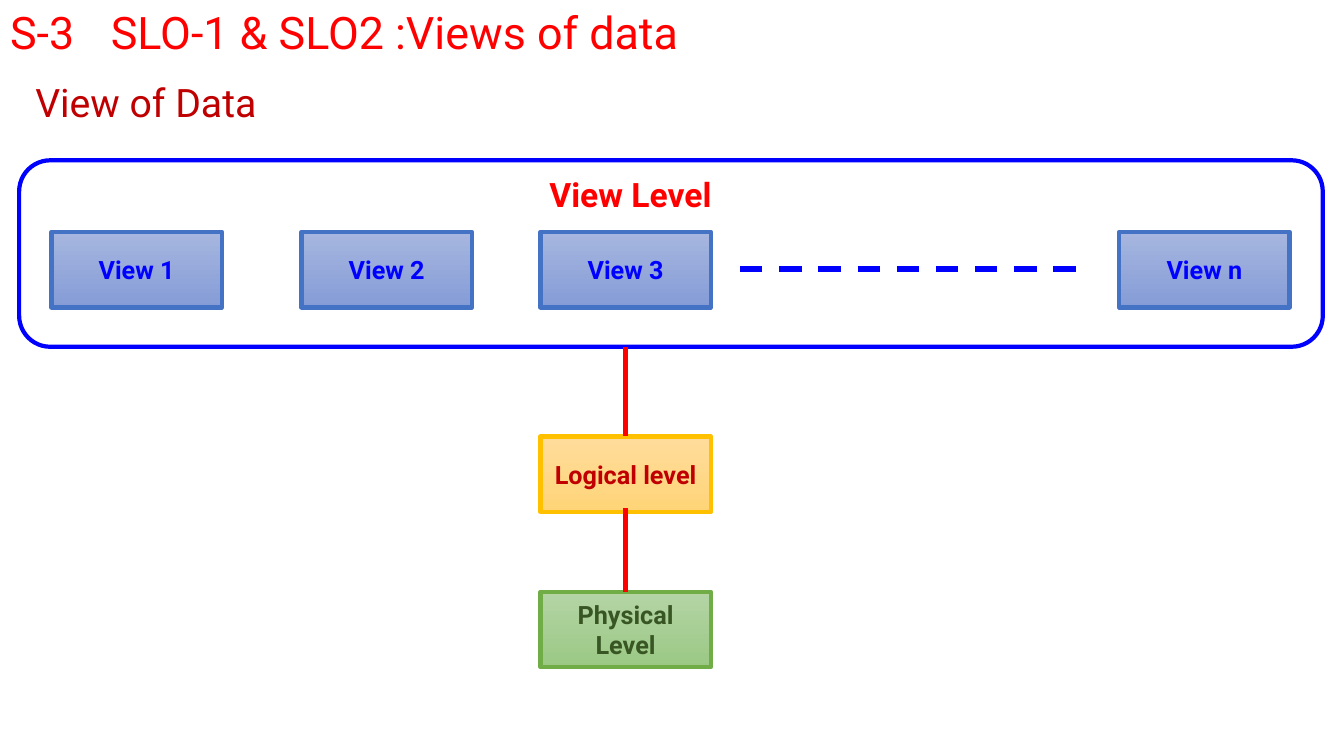
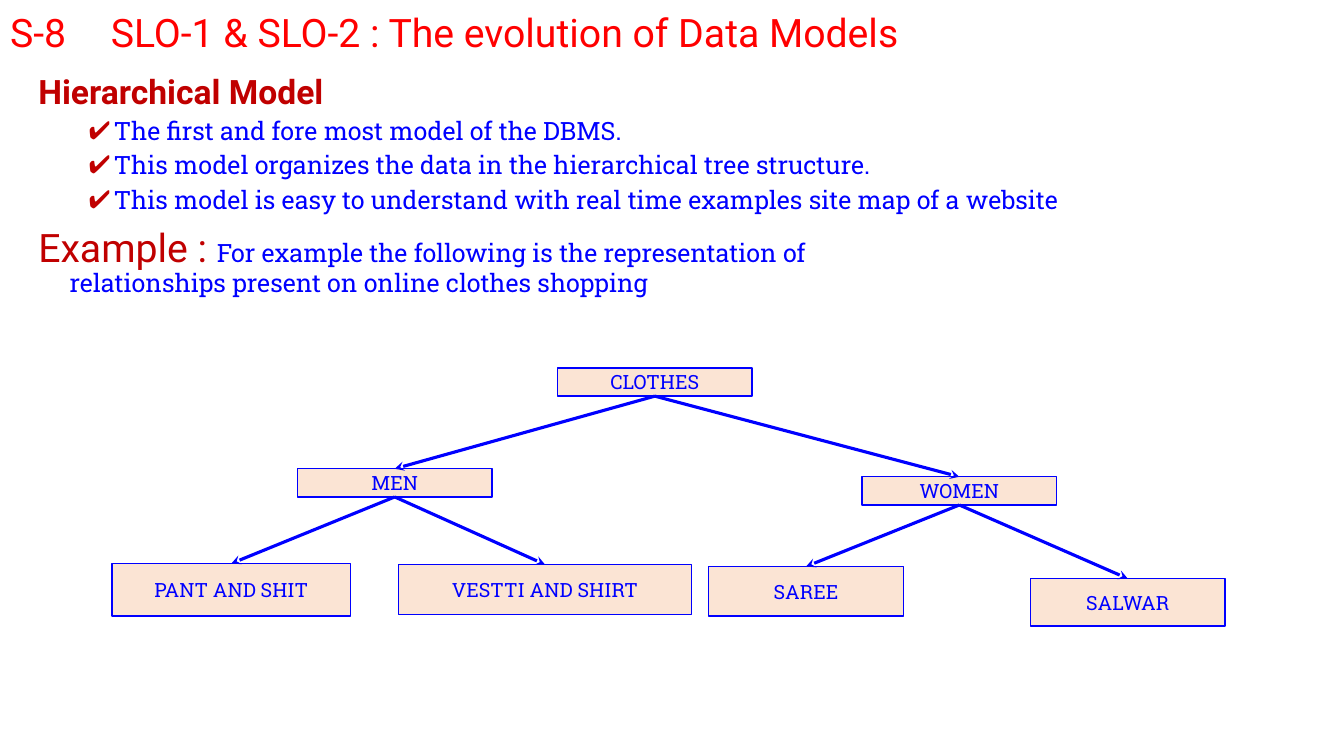
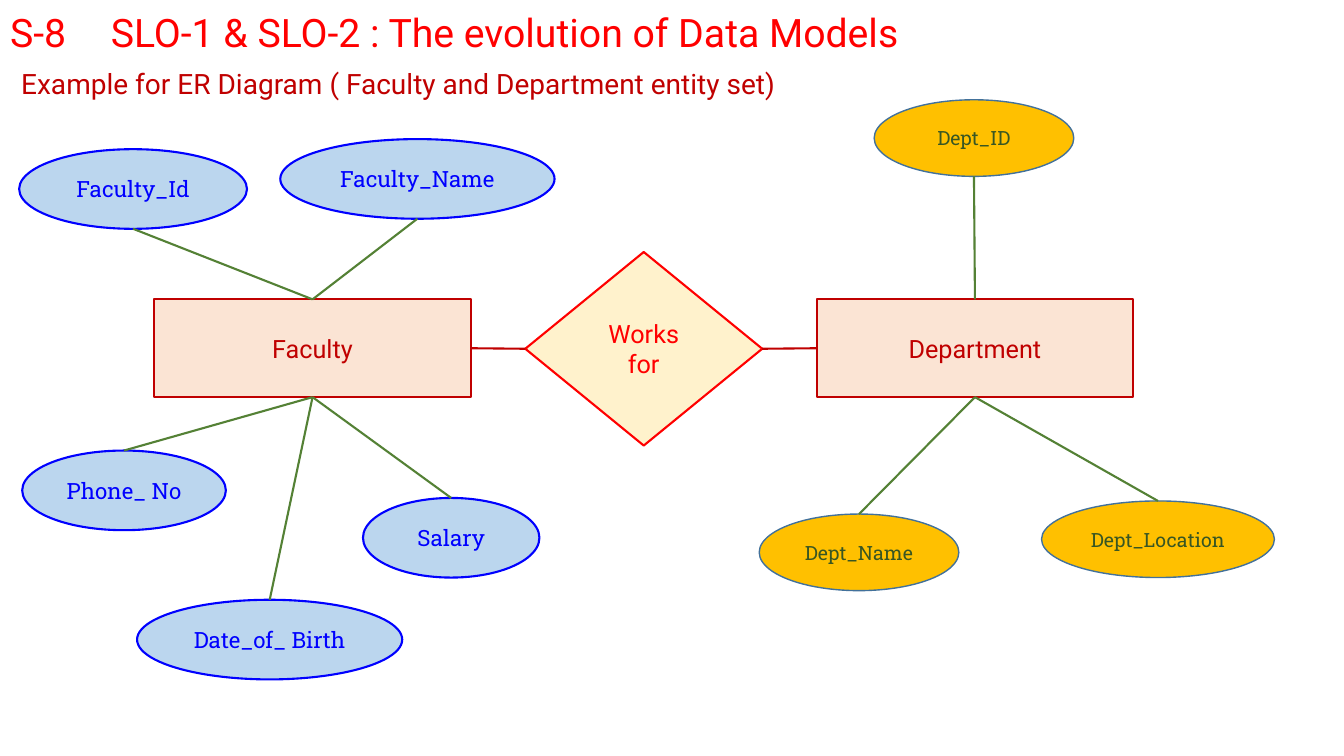
"""Build three slides on views of data and data models."""
from lxml import etree
from pptx import Presentation
from pptx.dml.color import RGBColor
from pptx.enum.dml import MSO_LINE
from pptx.enum.shapes import MSO_CONNECTOR, MSO_SHAPE
from pptx.enum.text import MSO_ANCHOR, MSO_AUTO_SIZE, PP_ALIGN
from pptx.oxml.ns import qn
from pptx.util import Inches, Pt

RECT = MSO_SHAPE.RECTANGLE
ROUND = MSO_SHAPE.ROUNDED_RECTANGLE
OVAL = MSO_SHAPE.OVAL
DIAMOND = MSO_SHAPE.DIAMOND
STRAIGHT = MSO_CONNECTOR.STRAIGHT
DASH = MSO_LINE.DASH
TOP, MIDDLE = MSO_ANCHOR.TOP, MSO_ANCHOR.MIDDLE
LEFT, CENTER = PP_ALIGN.LEFT, PP_ALIGN.CENTER
FIXED = MSO_AUTO_SIZE.NONE

SANS, SLAB = "Roboto", "Roboto Slab"
HEX = {
    "red": "FF0000", "wine": "C00000", "blue": "0000FF", "steel": "4472C4",
    "gold": "FFC000", "leaf": "70AD47", "pine": "385623", "moss": "548135",
    "peach": "FBE4D4", "cream": "FFF2CC", "sky": "BBD6EE", "navy": "42719B",
    "haze": "A6B6DE", "iris": "859CD7", "sand": "FFDC9B", "honey": "FFD478",
    "mint": "B4D4A5", "sage": "9BC985",
}
NORTH, SOUTH, WEST, EAST = (0.5, 0), (0.5, 1), (0, 0.5), (1, 0.5)


def rgb(name):
    return RGBColor.from_string(HEX[name])


def spot(shape, side):
    """Return the point at a relative place on a shape."""
    return (int(shape.left + shape.width * side[0]),
            int(shape.top + shape.height * side[1]))


def write(frame, text, size=18, color="blue", font=SANS, bold=False,
          align=LEFT, lead=1.0, before=0, level=0, left=0, hang=0,
          mark=None, join=False):
    """Add a paragraph, or join a run to the last one."""
    para = frame.paragraphs[-1]
    if not join:
        if para.runs:
            para = frame.add_paragraph()
        props = para._p.get_or_add_pPr()
        props.set("marL", str(Inches(left)))
        props.set("indent", str(Inches(-hang)))
        if mark:
            tint = etree.SubElement(props, qn("a:buClr"))
            etree.SubElement(tint, qn("a:srgbClr"), val=HEX["wine"])
            etree.SubElement(props, qn("a:buChar"), char=mark)
        else:
            etree.SubElement(props, qn("a:buNone"))
        para.level, para.alignment = level, align
        para.line_spacing, para.space_before = lead, Pt(before)
    for count, line in enumerate(text.split("\n")):
        if count:
            para.add_line_break()
        run = para.add_run()
        run.text = line
        run.font.name, run.font.size, run.font.bold = font, Pt(size), bold
        run.font.color.rgb = rgb(color)


class Deck:
    """Hold the style and the current slide."""

    def __init__(self):
        self.show = Presentation()
        self.show.slide_width = Inches(13.33)
        self.show.slide_height = Inches(7.5)
        self.slide = None

    def page(self, title, area, size=28, top=0.03):
        """Start a slide and return its body text frame."""
        self.slide = self.show.slides.add_slide(self.show.slide_layouts[1])
        head, body = self.slide.placeholders
        write(self.place(head, (0, top, 12, 0.6)), title, size, "red")
        return self.place(body, area)

    def place(self, holder, area):
        holder.left, holder.top, holder.width, holder.height = map(Inches, area)
        frame = holder.text_frame
        frame.word_wrap, frame.auto_size = True, FIXED
        frame.vertical_anchor = TOP
        return frame

    def box(self, area, text, kind=RECT, fill=None, edge="blue", width=1.0,
            anchor=MIDDLE, align=CENTER, **style):
        shape = self.slide.shapes.add_shape(kind, *map(Inches, area))
        shape.shadow.inherit = False
        if isinstance(fill, tuple):
            shape.fill.gradient()
            shape.fill.gradient_angle = 270
            for stop, name in zip(shape.fill.gradient_stops, fill):
                stop.color.rgb = rgb(name)
        elif fill:
            shape.fill.solid()
            shape.fill.fore_color.rgb = rgb(fill)
        else:
            shape.fill.background()
        shape.line.color.rgb = rgb(edge)
        shape.line.width = Pt(width)
        frame = shape.text_frame
        frame.word_wrap, frame.vertical_anchor = True, anchor
        write(frame, text, align=align, **style)
        return shape

    def wire(self, start, end, color, width=1.5, dash=None, arrow=False):
        link = self.slide.shapes.add_connector(STRAIGHT, *start, *end)
        link.line.color.rgb = rgb(color)
        link.line.width = Pt(width)
        if dash:
            link.line.dash_style = dash
        if arrow:
            etree.SubElement(link.line._get_or_add_ln(), qn("a:tailEnd"),
                             type="stealth")
        etree.SubElement(link._element.spPr, qn("a:effectLst"))


def views(deck):
    body = deck.page("S-3\tSLO-1 & SLO2 :Views of data",
                     (0.25, 0.78, 11.5, 0.7), size=32, top=0)
    write(body, "View of Data", 28, "wine", lead=0.9)
    frame = deck.box((0.19, 1.59, 12.93, 1.85), "View Level", ROUND, width=3,
                     anchor=TOP, align=LEFT, left=5.07, size=24, color="red",
                     bold=True)

    def level(x, y, text, fill, edge, color):
        return deck.box((x, y, 1.69, 0.75), text, fill=fill, edge=edge,
                        width=3, color=color, bold=True)

    for x, name in ((0.51, "1"), (2.99, "2"), (5.36, "3"), (11.1, "n")):
        level(x, 2.3, f"View {name}", ("haze", "iris"), "steel", "blue")
    logic = level(5.36, 4.33, "Logical level", ("sand", "honey"), "gold", "wine")
    store = level(5.36, 5.87, "Physical Level", ("mint", "sage"), "leaf", "pine")
    y = Inches(2.67)
    deck.wire((Inches(7.34), y), (Inches(10.76), y), "blue", 4, DASH)
    mid, top = spot(logic, NORTH)
    deck.wire((mid, spot(frame, SOUTH)[1]), (mid, top), "red", 3.25)
    deck.wire((mid, Inches(5.04)), spot(store, NORTH), "red", 3.25)


def tree(deck, title):
    body = deck.page(title, (0.28, 0.7, 11.5, 2.4))
    write(body, "Hierarchical Model", 24, "wine", bold=True, lead=0.9,
          left=0.25, hang=0.25)
    for text in (
        "The first and fore most model of the DBMS.",
        "This model organizes the data in the hierarchical tree structure.",
        "This model is easy to understand with real time examples site map"
        " of a website",
    ):
        write(body, text, font=SLAB, lead=0.9, before=5, level=1, left=0.75,
              hang=0.25, mark="✔")
    write(body, "Example : ", 28, "wine", lead=0.9, before=10, left=0.31,
          hang=0.31)
    write(body, "For example the following is the representation of\n"
          "relationships present on online clothes shopping", font=SLAB,
          join=True)
    nodes = {}
    for name, root, area in (
        ("CLOTHES", None, (5.53, 3.65, 1.93, 0.28)),
        ("MEN", "CLOTHES", (2.95, 4.65, 1.93, 0.28)),
        ("WOMEN", "CLOTHES", (8.55, 4.73, 1.93, 0.28)),
        ("PANT AND SHIT", "MEN", (1.11, 5.59, 2.37, 0.52)),
        ("VESTTI AND SHIRT", "MEN", (3.95, 5.6, 2.91, 0.5)),
        ("SAREE", "WOMEN", (7.03, 5.62, 1.93, 0.49)),
        ("SALWAR", "WOMEN", (10.22, 5.74, 1.93, 0.47)),
    ):
        nodes[name] = deck.box(area, name, fill="peach", size=14, font=SLAB)
        if root:
            deck.wire(spot(nodes[root], SOUTH), spot(nodes[name], NORTH),
                      "blue", 2.25, arrow=True)


def chart(deck, title):
    body = deck.page(title, (0.11, 0.65, 11.5, 0.49))
    write(body, "Example for ER Diagram ( Faculty and Department entity set)",
          20, "wine", lead=0.9, left=0.25, hang=0.25)
    staff, dept = (
        deck.box((x, 2.97, 3.14, 0.97), name, fill="peach", edge="wine",
                 width=1.5, color="wine")
        for x, name in ((1.53, "Faculty"), (8.1, "Department")))
    works = deck.box((5.21, 2.5, 2.35, 1.92), "Works for", DIAMOND,
                     fill="cream", edge="red", width=1.5, color="red")
    deck.wire(spot(staff, EAST), spot(works, WEST), "wine")
    deck.wire(spot(works, EAST), spot(dept, WEST), "wine")
    blue = dict(fill="sky", edge="blue", width=1.5, size=16, color="blue")
    gold = dict(fill="gold", edge="navy", width=1, size=14, color="pine")
    for owner, high, style, items in (
        (staff, 0.79, blue, (
            ("Faculty_Id", 0.19, 1.48, 2.26),
            ("Faculty_Name", 2.78, 1.38, 2.72),
            ("Phone_ No", 0.22, 4.47, 2.02),
            ("Date_of_ Birth", 1.36, 5.95, 2.63),
            ("Salary", 3.6, 4.94, 1.75))),
        (dept, 0.76, gold, (
            ("Dept_ID", 8.67, 0.99, 1.98),
            ("Dept_Name", 7.53, 5.1, 1.98),
            ("Dept_Location", 10.33, 4.97, 2.31))),
    ):
        for name, x, y, wide in items:
            oval = deck.box((x, y, wide, high), name, OVAL, font=SLAB, **style)
            near, far = (SOUTH, NORTH) if oval.top < owner.top else (NORTH, SOUTH)
            deck.wire(spot(oval, near), spot(owner, far), "moss")


def main():
    deck = Deck()
    title = "S-8\tSLO-1 & SLO-2 : The evolution of Data Models"
    views(deck)
    tree(deck, title)
    chart(deck, title)
    deck.show.save("out.pptx")


if __name__ == "__main__":
    main()
